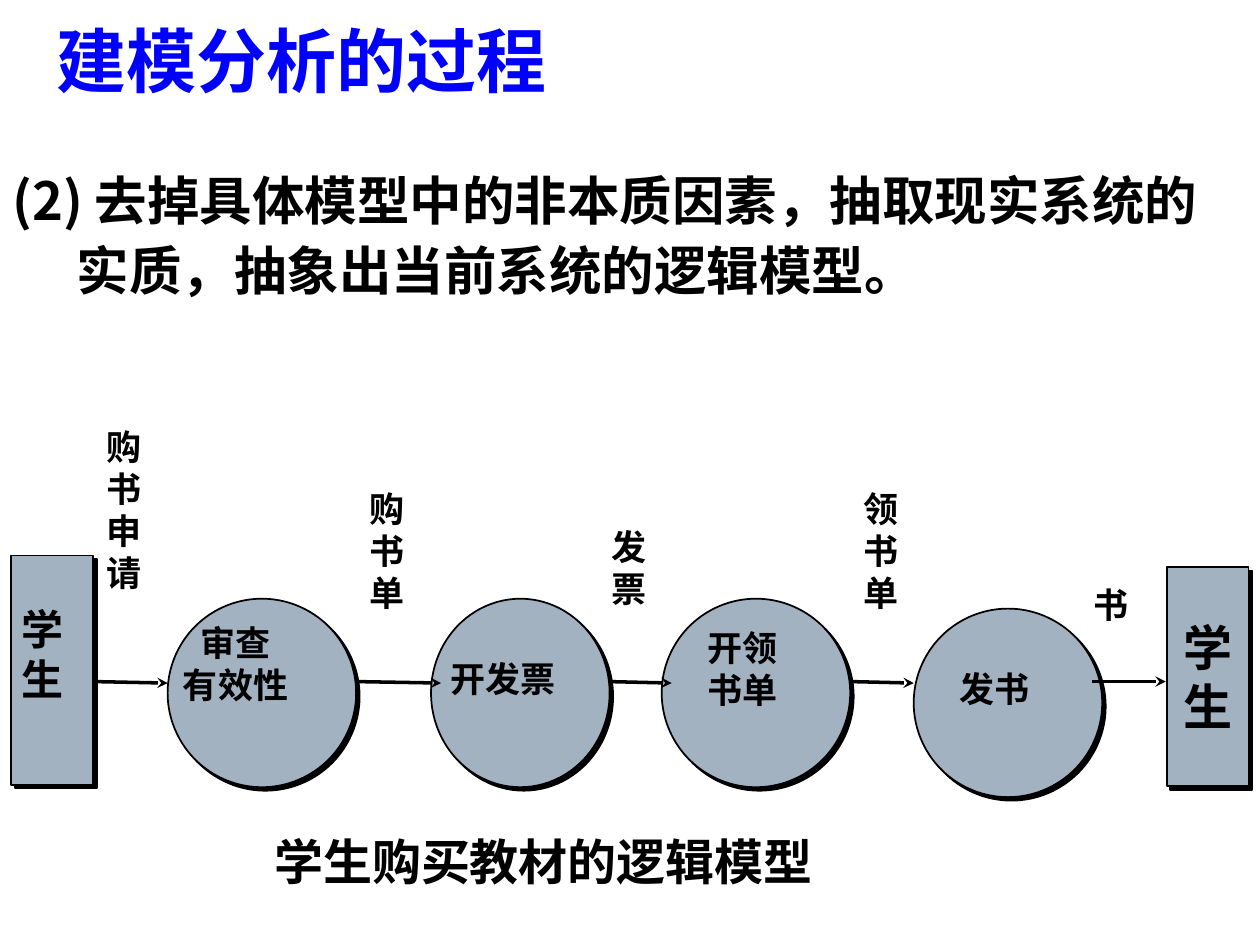
from dataclasses import dataclass

from lxml.etree import SubElement
from pptx import Presentation
from pptx.dml.color import RGBColor
from pptx.enum.shapes import MSO_CONNECTOR, MSO_SHAPE
from pptx.enum.text import MSO_ANCHOR, PP_ALIGN
from pptx.oxml import parse_xml
from pptx.oxml.ns import nsdecls, qn
from pptx.util import Cm, Pt


@dataclass(frozen=True)
class Theme:
    font: str = "Noto Sans CJK SC"
    ink: RGBColor = RGBColor(0, 0, 0)
    accent: RGBColor = RGBColor(0, 0, 255)
    node: RGBColor = RGBColor(0xA3, 0xB2, 0xC1)
    title: int = 40
    body: int = 30
    heading: int = 28
    source: int = 24
    label: int = 20
    leading: float = 1.2


SHADOW = (
    f'<a:effectLst {nsdecls("a")}>'
    '<a:outerShdw dist="35560" dir="2700000" algn="ctr" rotWithShape="0">'
    '<a:srgbClr val="000000"/></a:outerShdw></a:effectLst>'
)


class SlideBuilder:
    def __init__(self, slide, theme):
        self.slide = slide
        self.theme = theme

    def set_text(self, frame, lines, size, align=PP_ALIGN.LEFT, color=None, leading=None):
        frame.word_wrap = True
        frame.text = "\n".join(lines)
        for paragraph in frame.paragraphs:
            paragraph.alignment = align
            if leading:
                paragraph.line_spacing = Pt(size * leading)
            font = paragraph.font
            font.name, font.size, font.bold = self.theme.font, Pt(size), True
            font.color.rgb = color or self.theme.ink
            properties = paragraph._p.pPr.find(qn("a:defRPr"))
            SubElement(properties, qn("a:ea"), typeface=self.theme.font)

    def title(self, text, left, top, width, height):
        title = self.slide.shapes.title
        title.left, title.top = Cm(left), Cm(top)
        title.width, title.height = Cm(width), Cm(height)
        title.text_frame.vertical_anchor = MSO_ANCHOR.MIDDLE
        self.set_text(title.text_frame, [text], self.theme.title, color=self.theme.accent)

    def text(self, lines, left, top, width, height, size, align=PP_ALIGN.LEFT, leading=None):
        box = self.slide.shapes.add_textbox(Cm(left), Cm(top), Cm(width), Cm(height))
        self.set_text(box.text_frame, lines, size, align, leading=leading or self.theme.leading)
        return box

    def node(self, kind, left, top, width, height):
        shape = self.slide.shapes.add_shape(kind, Cm(left), Cm(top), Cm(width), Cm(height))
        shape.fill.solid()
        shape.fill.fore_color.rgb = self.theme.node
        shape.line.color.rgb = self.theme.ink
        shape.line.width = Pt(1)
        shape._element.spPr.append(parse_xml(SHADOW))
        return shape

    def arrow(self, start, end, top, drop):
        line = self.slide.shapes.add_connector(
            MSO_CONNECTOR.STRAIGHT, Cm(start), Cm(top), Cm(end), Cm(top + drop)
        )
        line.line.color.rgb = self.theme.ink
        line.line.width = Pt(2)
        SubElement(line.line._get_or_add_ln(), qn("a:tailEnd"), type="stealth")
        SubElement(line._element.spPr, qn("a:effectLst"))


def main():
    deck = Presentation()
    deck.slide_width, deck.slide_height = Cm(25.4), Cm(19.05)
    theme = Theme()
    page = SlideBuilder(deck.slides.add_slide(deck.slide_layouts[5]), theme)

    page.title("建模分析的过程", 0.89, 0.53, 21.16, 1.32)
    statement = page.text(
        ["(2) 去掉具体模型中的非本质因素，抽取现实系统的实质，抽象出当前系统的逻辑模型。"],
        0, 3.12, 25.2, 3.43, theme.body, leading=1.33,
    )
    indent = statement.text_frame.paragraphs[0]._p.get_or_add_pPr()
    indent.set("marL", str(Cm(1.3)))
    indent.set("indent", str(Cm(-1.3)))
    page.text(["学生购买教材的逻辑模型"], 5.28, 16.64, 14.53, 1.78, theme.heading)

    page.node(MSO_SHAPE.RECTANGLE, 0.23, 11.2, 1.65, 4.62)
    receiver = page.node(MSO_SHAPE.RECTANGLE, 23.52, 11.43, 1.65, 4.42)
    receiver.text_frame.vertical_anchor = MSO_ANCHOR.MIDDLE
    page.set_text(
        receiver.text_frame, "学生", theme.heading, PP_ALIGN.CENTER, leading=theme.leading
    )
    page.text("学生", 0.18, 12.04, 1.96, 2.97, theme.source)

    for left, top, width in (
        (3.38, 12.07, 3.8), (8.69, 12.07, 3.6), (13.34, 12.07, 3.8), (18.42, 12.27, 3.8)
    ):
        page.node(MSO_SHAPE.OVAL, left, top, width, 3.8)

    for flow, left, top, width, height in (
        ("购书申请", 1.9, 8.46, 1.5, 5),
        ("购书单", 7.19, 9.7, 1.7, 3.8),
        ("发票", 12.07, 10.46, 1.5, 2.62),
        ("领书单", 17.15, 9.7, 1.5, 3.8),
        ("书", 21.8, 11.63, 1.5, 1.45),
    ):
        page.text(flow, left, top, width, height, theme.label)

    for start, end, drop in (
        (1.9, 3.38, 0.03), (7.19, 8.89, 0.03), (12.27, 13.54, 0.03),
        (17.15, 18.42, 0.03), (22.02, 23.5, 0),
    ):
        page.arrow(start, end, 13.74, drop)

    for lines, left, top, width, height in (
        (["审查", "有效性"], 3.4, 12.4, 2.7, 2.62),
        (["开发票"], 8.79, 13.13, 2.7, 1.45),
        (["开领", "书单"], 13.97, 12.5, 2, 2.62),
        (["发书"], 19.05, 13.34, 2, 1.45),
    ):
        page.text(lines, left, top, width, height, theme.label, PP_ALIGN.CENTER)

    deck.save("out.pptx")


if __name__ == "__main__":
    main()
